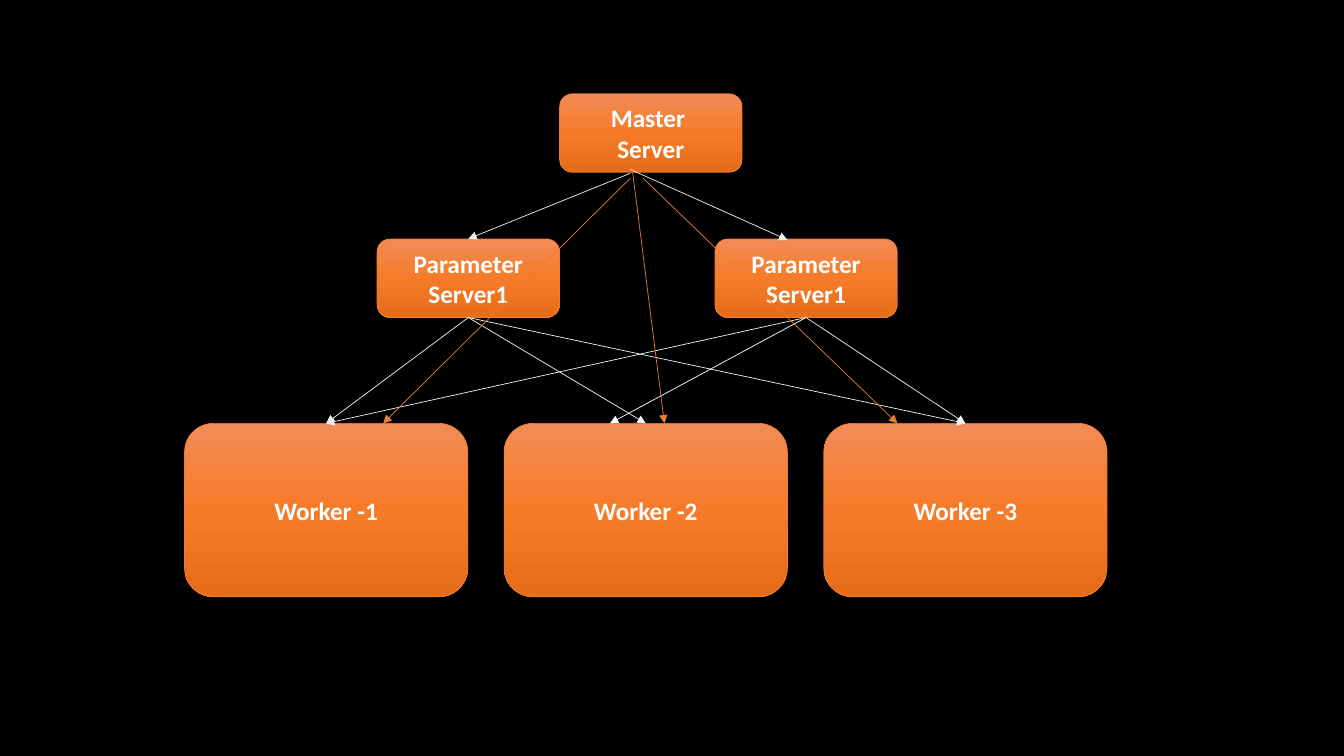
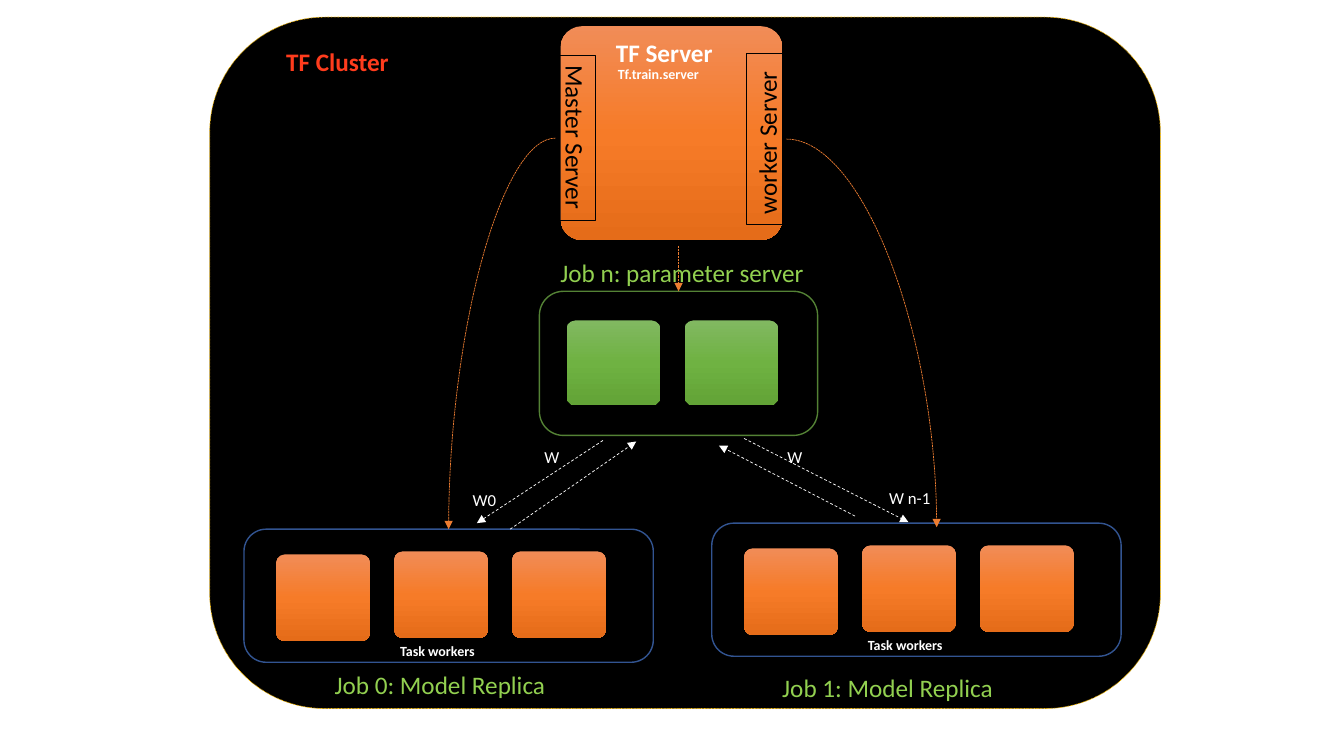
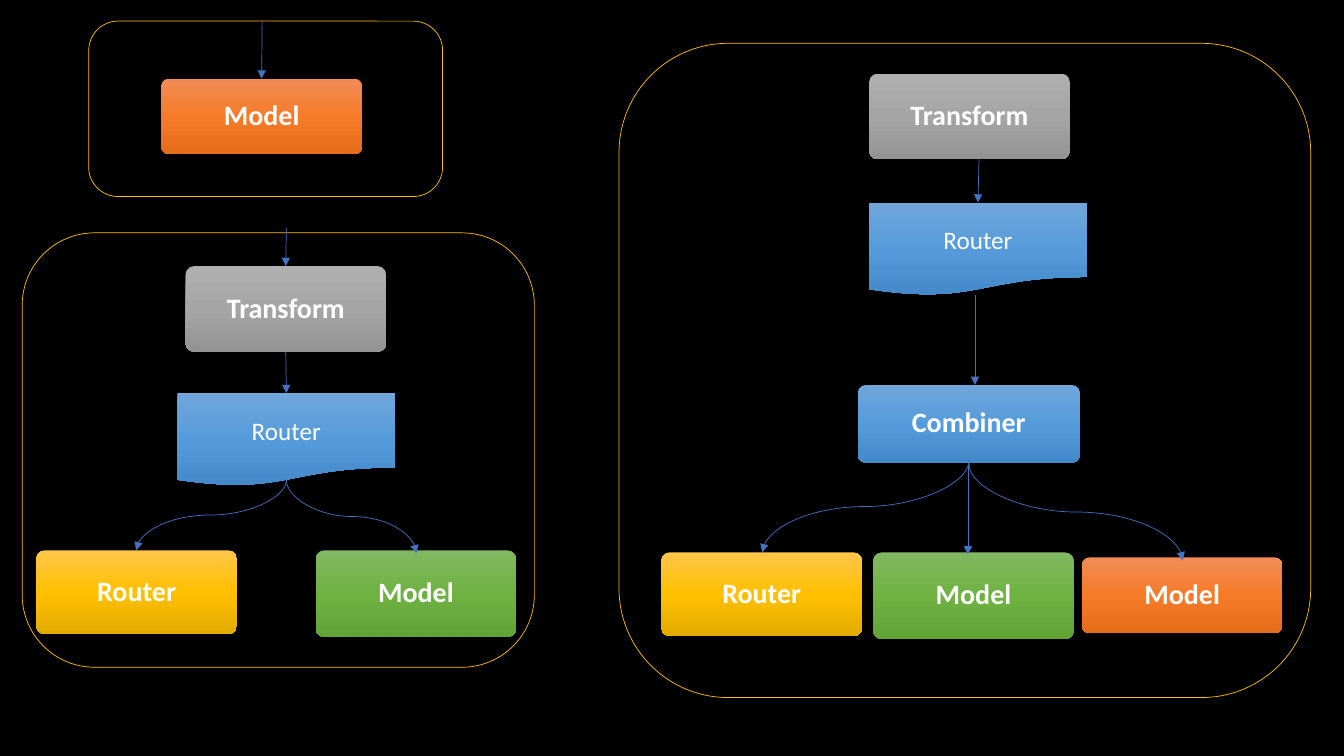
"""Builds three diagrams of distributed training and model serving."""
from copy import deepcopy

from lxml import etree
from pptx import Presentation
from pptx.dml.color import RGBColor
from pptx.enum.dml import MSO_LINE
from pptx.enum.shapes import MSO_CONNECTOR, MSO_SHAPE
from pptx.enum.text import MSO_ANCHOR, PP_ALIGN
from pptx.oxml.ns import qn
from pptx.util import Inches, Pt

ROUNDED = MSO_SHAPE.ROUNDED_RECTANGLE
DOCUMENT = MSO_SHAPE.FLOWCHART_DOCUMENT
STRAIGHT, CURVE = MSO_CONNECTOR.STRAIGHT, MSO_CONNECTOR.CURVE
DASH, SYSTEM_DOT, SYSTEM_DASH = MSO_LINE.DASH, MSO_LINE.ROUND_DOT, MSO_LINE.SQUARE_DOT
CENTER, MIDDLE = PP_ALIGN.CENTER, MSO_ANCHOR.MIDDLE
TOP_SITE, BOTTOM_SITE = 0, 2
FONT = "Calibri"
BLOCK_WIDTH = 1.99

COLORS = {
    "black": "000000", "white": "FFFFFF", "pale": "F2F2F2", "red": "FF3C1D",
    "lime": "92D050", "gold": "FFC000", "orange": "ED7D31", "blue": "4472C4",
    "navy": "325491", "forest": "548235",
    "orange_top": "F18C57", "orange_middle": "F67B28", "orange_bottom": "E56C19",
    "green_top": "81B861", "green_middle": "6FB242", "green_bottom": "62A336",
    "gray_top": "AFAFAF", "gray_middle": "A5A5A5", "gray_bottom": "939393",
    "gold_top": "FFC64B", "gold_middle": "FFC000", "gold_bottom": "E3AB00",
    "blue_top": "71A6DB", "blue_middle": "559BDB", "blue_bottom": "448ACA",
}


def color(name):
    """Return the named colour."""
    return RGBColor.from_string(COLORS[name])


class Diagram:
    """Holds the presentation, its style and the current slide."""

    def __init__(self):
        """Start a widescreen presentation."""
        self.presentation = Presentation()
        self.presentation.slide_width = Inches(13.33)
        self.presentation.slide_height = Inches(7.5)
        self.slide = None

    def new_slide(self, background):
        """Add a blank slide with a plain background."""
        self.slide = self.presentation.slides.add_slide(self.presentation.slide_layouts[6])
        fill = self.slide.background.fill
        fill.solid()
        fill.fore_color.rgb = color(background)

    def set_text(self, shape, text, size, tone, bold, align=None, spacing=None):
        """Put text in a shape, one paragraph a line."""
        shape.text_frame.text = text
        for paragraph in shape.text_frame.paragraphs:
            paragraph.alignment = align
            paragraph.line_spacing = spacing
            font = paragraph.font
            font.name, font.size, font.bold = FONT, Pt(size), bold
            font.color.rgb = color(tone)

    def stroke(self, line, tone, width, dash=None):
        """Style an outline or a connector line."""
        line.color.rgb = color(tone)
        line.width = Pt(width)
        if dash:
            line.dash_style = dash

    def shade(self, shape, tone):
        """Fill a shape with a tone's vertical gradient."""
        shape.fill.gradient()
        shape.fill.gradient_angle = 270
        stop_list = shape._element.spPr.find(qn("a:gradFill")).find(qn("a:gsLst"))
        stop_list.append(deepcopy(stop_list[0]))
        parts = zip(shape.fill.gradient_stops, ("top", "middle", "bottom"), (0, 0.5, 1))
        for stop, part, position in parts:
            stop.color.rgb = color(f"{tone}_{part}")
            stop.position = position

    def shape(self, kind, left, top, width, height):
        """Add a preset shape without a shadow."""
        shape = self.slide.shapes.add_shape(
            kind, Inches(left), Inches(top), Inches(width), Inches(height))
        shape.shadow.inherit = False
        return shape

    def frame(self, left, top, width, height, outline, weight=0.5, fill=None, dash=None):
        """Add a rounded outline around a part of the diagram."""
        frame = self.shape(ROUNDED, left, top, width, height)
        if fill:
            frame.fill.solid()
            frame.fill.fore_color.rgb = color(fill)
        else:
            frame.fill.background()
        self.stroke(frame.line, outline, weight, dash)
        return frame

    def box(self, left, top, width, height, tone, text="", kind=ROUNDED, size=20,
            bold=True, corner=0.1, outline=None, spacing=0.9):
        """Add a gradient box with centred text."""
        box = self.shape(kind, left, top, width, height)
        self.shade(box, tone)
        if kind == ROUNDED and corner:
            box.adjustments[0] = corner
        if outline:
            self.stroke(box.line, outline, 0.5)
        else:
            box.line.fill.background()
        if text:
            box.text_frame.word_wrap = True
            box.text_frame.vertical_anchor = MIDDLE
            self.set_text(box, text, size, "white", bold, CENTER, spacing)
        return box

    def server(self, left, top, width, height, text):
        """Add an outlined orange server box."""
        return self.box(left, top, width, height, "orange", text, size=18,
                        corner=None, outline="orange", spacing=None)

    def document(self, left, top):
        """Add a router drawn as a document."""
        return self.box(left, top, 2.16, 0.92, "blue", "Router", DOCUMENT,
                        size=18, bold=False, spacing=None)

    def label(self, text, left, top, width, height, size=18, tone="white",
              bold=False, outline=None, rotation=0):
        """Add one line of free text."""
        label = self.slide.shapes.add_textbox(
            Inches(left), Inches(top), Inches(width), Inches(height))
        label.text_frame.word_wrap = False
        label.rotation = rotation
        if outline:
            self.stroke(label.line, outline, 0.75)
        self.set_text(label, text, size, tone, bold)

    def connector(self, kind, begin, end, tone, dash=None):
        """Add a connector with an arrowhead between two points."""
        connector = self.slide.shapes.add_connector(
            kind, *(Inches(length) for length in (*begin, *end)))
        self.stroke(connector.line, tone, 0.5, dash)
        properties = connector._element.spPr
        etree.SubElement(properties.find(qn("a:ln")), qn("a:tailEnd"), type="triangle")
        etree.SubElement(properties, qn("a:effectLst"))
        return connector

    def arrow(self, begin, end, tone="blue", dash=None):
        """Draw a straight arrow from a point or box bottom to a point or box top."""
        begin_joined, end_joined = (not isinstance(item, tuple) for item in (begin, end))
        arrow = self.connector(STRAIGHT, (0, 0) if begin_joined else begin,
                               (0, 0) if end_joined else end, tone, dash)
        if begin_joined:
            arrow.begin_connect(begin, BOTTOM_SITE)
        if end_joined:
            arrow.end_connect(end, TOP_SITE)

    def bend(self, begin, end):
        """Draw a quarter curve that leaves sideways and arrives downwards."""
        bend = self.connector(CURVE, begin, end, "orange", SYSTEM_DASH)
        bend._element.spPr.find(qn("a:prstGeom")).set("prst", "curvedConnector2")

    def branch(self, begin, end):
        """Draw an S-curve that leaves and arrives downwards."""
        across, down = end[0] - begin[0], end[1] - begin[1]
        middle_x, middle_y = begin[0] + across / 2, begin[1] + down / 2
        side = 1 if across > 0 else -1
        reach, rise = side * down / 2, abs(across) / 2
        branch = self.connector(CURVE, (middle_x + reach, middle_y - rise),
                                (middle_x - reach, middle_y + rise), "blue")
        degrees = 270 if side > 0 else 90
        branch._element.spPr.find(qn("a:xfrm")).set("rot", str(degrees * 60000))


def server_tree(diagram):
    """Draw the master, the parameter servers and the workers."""
    diagram.new_slide("black")
    first, second = [diagram.server(left, 2.37, 1.81, 0.78, "Parameter Server1")
                     for left in (3.74, 7.09)]
    workers = [diagram.server(1.83 + 3.17 * index, 4.2, 2.81, 1.72, f"Worker -{index + 1}")
               for index in range(3)]
    diagram.server(5.55, 0.93, 1.81, 0.78, "Master \nServer")
    for worker in workers:
        diagram.arrow(first, worker, "pale")
    diagram.arrow(second, (6.05, 4.2), "white")
    for worker in (workers[2], workers[0]):
        diagram.arrow(second, worker, "pale")
    diagram.arrow((6.25, 1.72), first, "pale")
    diagram.arrow((6.25, 1.68), (7.81, 2.38), "pale")
    for begin, end in (((6.25, 1.77), (3.8, 4.2)), ((6.27, 1.67), (6.59, 4.2)),
                       ((6.38, 1.77), (8.9, 4.2))):
        diagram.arrow(begin, end, "orange")


def cluster(diagram):
    """Draw the cluster with its server, jobs and tasks."""
    diagram.new_slide("white")
    diagram.frame(2.08, 0.17, 9.43, 6.86, "gold", fill="black", dash=SYSTEM_DOT)
    parameter_job = diagram.frame(5.35, 2.89, 2.76, 1.43, "forest", 1)
    for left in (5.62, 6.79):
        diagram.box(left, 3.18, 0.93, 0.84, "green")
    for left, top in ((2.42, 5.25), (7.06, 5.19)):
        diagram.frame(left, top, 4.06, 1.32, "navy", 1)
        for index, drop in enumerate((0.25, 0.22, 0.22)):
            diagram.box(left + 0.32 + 1.17 * index, top + drop, 0.93, 0.86, "orange")
        diagram.label("Task workers", left + 1.45, top + 1.08, 0.97, 0.27, 10, bold=True)

    diagram.box(5.56, 0.26, 2.2, 2.12, "orange")
    diagram.label("Master Server", 4.89, 1.17, 1.64, 0.4, tone="black",
                  outline="black", rotation=90)
    diagram.label("worker Server", 6.76, 1.18, 1.69, 0.4, tone="black",
                  outline="black", rotation=270)
    diagram.label("TF Server", 6.01, 0.32, 1.17, 0.4, bold=True)
    diagram.label("Tf.train.server", 6.03, 0.6, 1.03, 0.27, 10, bold=True)

    for begin, end in (((5.98, 4.37), (4.73, 5.19)), ((7.38, 4.35), (9.01, 5.18)),
                       ((5.06, 5.25), (6.31, 4.38)), ((8.48, 5.12), (7.13, 4.42))):
        diagram.arrow(begin, end, "white", DASH)
    diagram.arrow((6.73, 2.44), parameter_job, "orange", SYSTEM_DOT)
    diagram.bend((5.51, 1.37), (4.45, 5.25))
    diagram.bend((7.8, 1.38), (9.29, 5.23))

    for text, left, top, width in (("W", 5.3, 4.38, 0.35), ("W", 7.71, 4.38, 0.35),
                                   ("W n-1", 8.72, 4.79, 0.61), ("W0", 4.59, 4.81, 0.52)):
        diagram.label(text, left, top, width, 0.3, 12)
    for text, left, top, width in (("Job n: parameter server", 5.46, 2.5, 2.64),
                                   ("Job 0: Model Replica", 3.22, 6.59, 2.32),
                                   ("Job 1: Model Replica", 7.66, 6.62, 2.32)):
        diagram.label(text, left, top, width, 0.4, tone="lime")
    diagram.label("TF Cluster", 2.74, 0.41, 1.23, 0.4, tone="red", bold=True)


def serving_graphs(diagram):
    """Draw three serving graphs of growing size."""
    diagram.new_slide("black")
    for bounds in ((0.22, 2.31, 5.08, 4.31), (0.88, 0.21, 3.51, 1.74),
                   (6.14, 0.43, 6.86, 6.49)):
        diagram.frame(*bounds, "gold", fill="black")

    model = diagram.box(1.6, 0.78, BLOCK_WIDTH, 0.75, "orange", "Model")
    diagram.arrow((2.6, 0.21), model)

    transform = diagram.box(1.84, 2.64, BLOCK_WIDTH, 0.85, "gray", "Transform")
    router = diagram.document(1.76, 3.9)
    diagram.box(0.36, 5.46, BLOCK_WIDTH, 0.83, "gold", "Router")
    diagram.box(3.13, 5.46, BLOCK_WIDTH, 0.86, "green", "Model")
    diagram.arrow((2.84, 2.26), transform)
    diagram.arrow(transform, router)
    diagram.branch((2.84, 4.76), (1.35, 5.46))
    diagram.branch((2.84, 4.76), (4.13, 5.49))

    diagram.box(8.62, 0.73, BLOCK_WIDTH, 0.85, "gray", "Transform")
    router = diagram.document(8.62, 2.01)
    diagram.box(8.51, 3.82, 2.2, 0.77, "blue", "Combiner")
    diagram.box(6.56, 5.48, BLOCK_WIDTH, 0.83, "gold", "Router")
    diagram.box(8.66, 5.48, BLOCK_WIDTH, 0.86, "green", "Model")
    diagram.box(10.73, 5.53, BLOCK_WIDTH, 0.75, "orange", "Model")
    diagram.arrow((9.71, 1.58), router)
    diagram.arrow((9.67, 2.93), (9.67, 3.82))
    diagram.branch((9.61, 4.57), (7.56, 5.48))
    diagram.arrow((9.6, 4.61), (9.6, 5.5))
    diagram.branch((9.61, 4.6), (11.73, 5.56))


def main():
    """Build and save the presentation."""
    diagram = Diagram()
    server_tree(diagram)
    cluster(diagram)
    serving_graphs(diagram)
    diagram.presentation.save("out.pptx")


if __name__ == "__main__":
    main()
